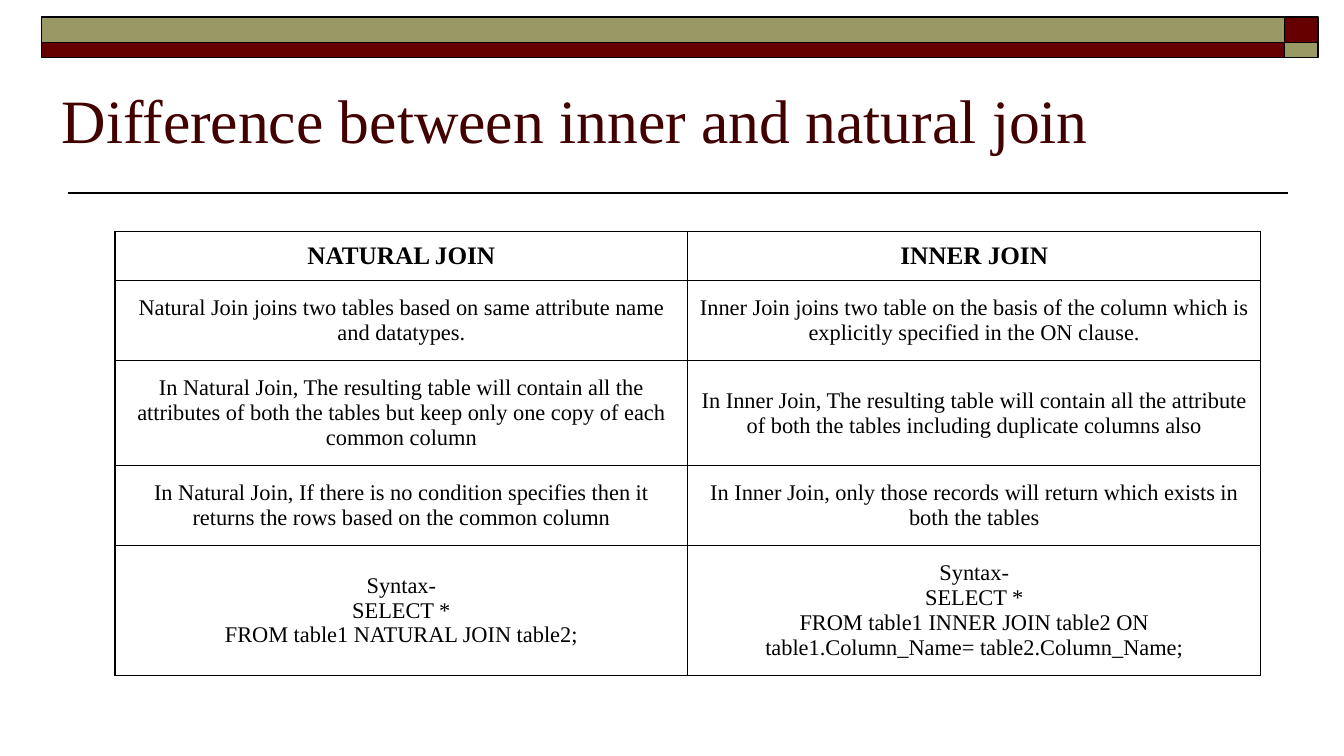
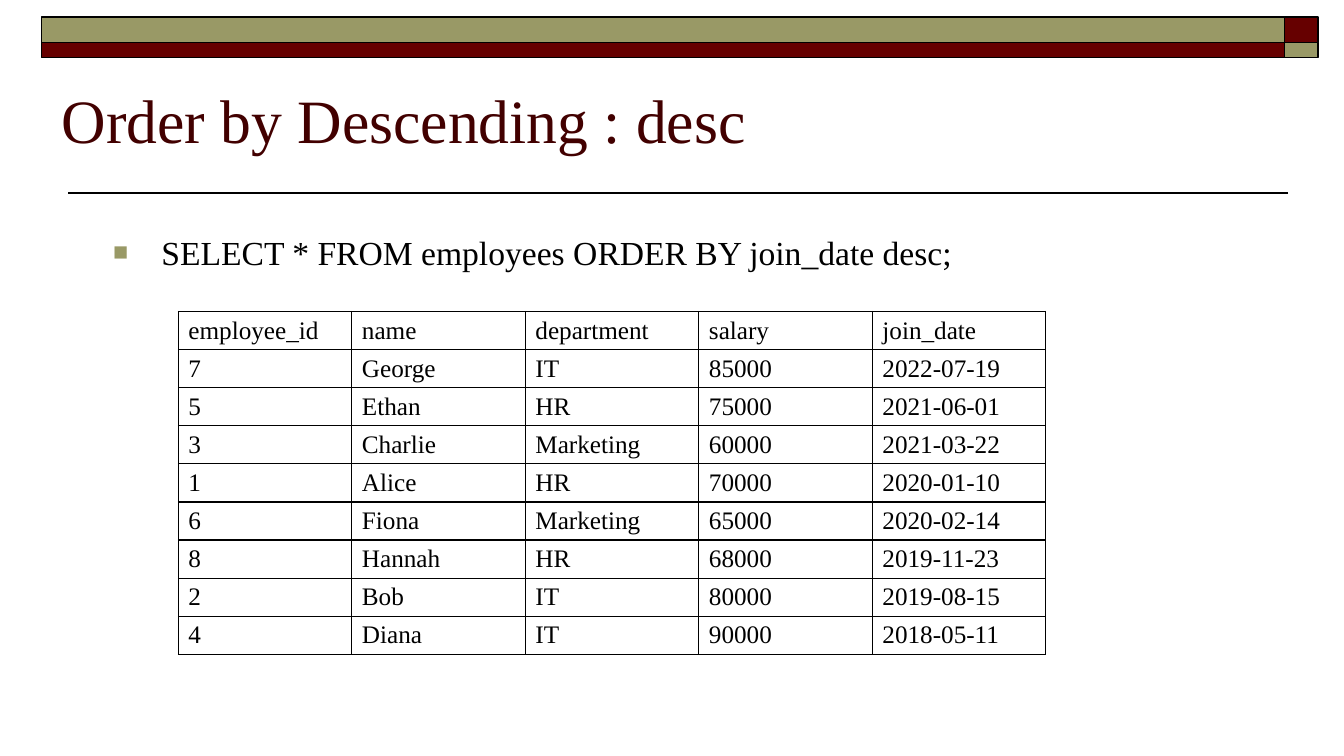
from dataclasses import dataclass

from lxml.etree import SubElement
from pptx import Presentation
from pptx.dml.color import RGBColor
from pptx.enum.shapes import MSO_CONNECTOR, MSO_SHAPE
from pptx.enum.text import MSO_ANCHOR, MSO_AUTO_SIZE, PP_ALIGN
from pptx.oxml import parse_xml
from pptx.oxml.ns import nsdecls, qn
from pptx.util import Inches, Pt

SLIDE_W, SLIDE_H = Inches(13.33), Inches(7.5)
FONT = "Times New Roman"
OLIVE, MAROON, TITLE_COLOR = "999966", "660000", "420000"
BLACK, WHITE = "000000", "FFFFFF"
TITLE_ONLY, TITLE_AND_CONTENT = 5, 1
MASTER_ID_START = 100


@dataclass(frozen=True)
class Box:
    """A rectangle in percent of the slide's width and height."""
    left: float
    top: float
    width: float
    height: float

    def emu(self) -> tuple[int, int, int, int]:
        return across(self.left), down(self.top), across(self.width), down(self.height)


@dataclass(frozen=True)
class TableStyle:
    left: float
    top: float
    width: float
    row_heights: list[float]
    header_size: int
    body_size: int
    header_bold: bool
    align: PP_ALIGN
    header_anchor: MSO_ANCHOR
    header_margin: float  # inches above and below the text
    body_margin: float


@dataclass(frozen=True)
class Band:
    box: Box
    color: str


BAND_LEFT, BAND_TOP = 3.08, 2.27
BAND_W, END_W = 92.5, 2.5
UPPER_H, LOWER_H = 3.33, 2
END_LEFT, LOWER_TOP = BAND_LEFT + BAND_W, BAND_TOP + UPPER_H
BANDS = [
    Band(Box(END_LEFT, BAND_TOP, END_W, UPPER_H), MAROON),
    Band(Box(BAND_LEFT, BAND_TOP, BAND_W, UPPER_H), OLIVE),
    Band(Box(BAND_LEFT, LOWER_TOP, BAND_W, LOWER_H), MAROON),
    Band(Box(END_LEFT, LOWER_TOP, END_W, LOWER_H), OLIVE),
]
RULE_LEFT, RULE_RIGHT, RULE_TOP = 5.03, 95.85, 25.55
TITLE_BOX = Box(3.83, 4.67, 90, 16.67)
BODY_BOX = Box(3.83, 30, 90, 60.93)

JOIN_ROWS = [
    ("NATURAL JOIN", "INNER JOIN"),
    ("Natural Join joins two tables based on same attribute name and datatypes.",
     "Inner Join joins two table on the basis of the column which is explicitly "
     "specified in the ON clause."),
    ("In Natural Join, The resulting table will contain all the attributes of both "
     "the tables but keep only one copy of each common column",
     "In Inner Join, The resulting table will contain all the attribute of both "
     "the tables including duplicate columns also"),
    ("In Natural Join, If there is no condition specifies then it returns the rows "
     "based on the common column",
     "In Inner Join, only those records will return which exists in both the tables"),
    ("Syntax-\vSELECT *\vFROM table1 NATURAL JOIN table2;",
     "Syntax-\vSELECT *\vFROM table1 INNER JOIN table2 ON "
     "table1.Column_Name= table2.Column_Name;"),
]
EMPLOYEE_ROWS = [
    ("employee_id", "name", "department", "salary", "join_date"),
    ("7", "George", "IT", "85000", "2022-07-19"),
    ("5", "Ethan", "HR", "75000", "2021-06-01"),
    ("3", "Charlie", "Marketing", "60000", "2021-03-22"),
    ("1", "Alice", "HR", "70000", "2020-01-10"),
    ("6", "Fiona", "Marketing", "65000", "2020-02-14"),
    ("8", "Hannah", "HR", "68000", "2019-11-23"),
    ("2", "Bob", "IT", "80000", "2019-08-15"),
    ("4", "Diana", "IT", "90000", "2018-05-11"),
]
JOIN_STYLE = TableStyle(8.55, 30.6, 85.25, [6.5, 10.45, 13.9, 10.45, 17.1], 18, 16, True,
                        PP_ALIGN.CENTER, MSO_ANCHOR.MIDDLE, 0.1, 0.15)
EMPLOYEE_STYLE = TableStyle(13.27, 41.2, 64.55, [5.04] * len(EMPLOYEE_ROWS), 18, 18, False,
                            PP_ALIGN.LEFT, MSO_ANCHOR.BOTTOM, 0.05, 0.05)


def across(percent: float) -> int:
    return round(SLIDE_W * percent / 100)


def down(percent: float) -> int:
    return round(SLIDE_H * percent / 100)


def rgb(color: str) -> RGBColor:
    return RGBColor.from_string(color)


def format_runs(p, size: float, color: str = BLACK, bold: bool = False) -> None:
    for r in p.runs:
        r.font.name, r.font.size, r.font.bold = FONT, Pt(size), bold
        r.font.color.rgb = rgb(color)


def set_outline(line) -> None:
    line.color.rgb = rgb(BLACK)
    line.width = Pt(1)


def add_master_decoration(prs, s) -> None:
    """Draw the rule and bands on a slide, then move them to the master."""
    y = down(RULE_TOP)
    rule = s.shapes.add_connector(MSO_CONNECTOR.STRAIGHT, across(RULE_RIGHT), y,
                                  across(RULE_LEFT), y)
    set_outline(rule.line)
    SubElement(rule.element.spPr, qn("a:effectLst"))
    decoration = [rule]
    for band in BANDS:
        sp = s.shapes.add_shape(MSO_SHAPE.RECTANGLE, *band.box.emu())
        sp.shadow.inherit = False
        sp.fill.solid()
        sp.fill.fore_color.rgb = rgb(band.color)
        set_outline(sp.line)
        decoration.append(sp)
    tree = prs.slide_master.shapes.element
    for i, sp in enumerate(decoration):
        sp.element.xpath(".//p:cNvPr")[0].set("id", str(MASTER_ID_START + i))
        tree.insert(2 + i, sp.element)


def place_text(sp, box: Box, text: str, anchor: MSO_ANCHOR):
    """Fill and move a placeholder; return its paragraph."""
    sp.left, sp.top, sp.width, sp.height = box.emu()
    tf = sp.text_frame
    tf.text = text
    tf.auto_size = MSO_AUTO_SIZE.NONE
    tf.vertical_anchor = anchor
    p = tf.paragraphs[0]
    p.alignment = PP_ALIGN.LEFT
    return p


def add_titled_slide(prs, layout: int, title: str):
    s = prs.slides.add_slide(prs.slide_layouts[layout])
    p = place_text(s.shapes.title, TITLE_BOX, title, MSO_ANCHOR.BOTTOM)
    format_runs(p, 44, TITLE_COLOR)
    return s


def add_query(s, query: str) -> None:
    p = place_text(s.placeholders[1], BODY_BOX, query, MSO_ANCHOR.TOP)
    p.level = 1
    format_runs(p, 24)
    pPr = p._p.get_or_add_pPr()
    pPr.set("marL", str(Inches(0.99)))
    pPr.set("indent", str(Inches(-0.48)))
    color = SubElement(pPr, qn("a:buClr"))
    SubElement(color, qn("a:srgbClr"), val=OLIVE)
    SubElement(pPr, qn("a:buSzPct"), val="75000")
    SubElement(pPr, qn("a:buFont"), typeface=FONT)
    SubElement(pPr, qn("a:buChar"), char="■")


def add_borders(cell) -> None:
    tcPr = cell._tc.get_or_add_tcPr()
    for i, side in enumerate(("lnL", "lnR", "lnT", "lnB")):
        tcPr.insert(i, parse_xml(
            f'<a:{side} {nsdecls("a")} w="{Pt(1)}"><a:solidFill>'
            f'<a:srgbClr val="{BLACK}"/></a:solidFill></a:{side}>'))


def fill_cell(cell, text: str, style: TableStyle, header: bool) -> None:
    cell.text_frame.text = text
    cell.vertical_anchor = style.header_anchor if header else MSO_ANCHOR.MIDDLE
    margin = Inches(style.header_margin if header else style.body_margin)
    cell.margin_top = cell.margin_bottom = margin
    cell.margin_left = cell.margin_right = Inches(0.1)
    p = cell.text_frame.paragraphs[0]
    p.alignment = style.align
    size = style.header_size if header else style.body_size
    format_runs(p, size, bold=header and style.header_bold)
    cell.fill.solid()
    cell.fill.fore_color.rgb = rgb(WHITE)
    add_borders(cell)


def add_grid(s, rows: list[tuple[str, ...]], style: TableStyle) -> None:
    box = Box(style.left, style.top, style.width, sum(style.row_heights))
    table = s.shapes.add_table(len(rows), len(rows[0]), *box.emu()).table
    table.first_row = table.horz_banding = False
    for column in table.columns:
        column.width = across(style.width / len(rows[0]))
    for i, (texts, height) in enumerate(zip(rows, style.row_heights)):
        table.rows[i].height = down(height)
        for j, text in enumerate(texts):
            fill_cell(table.cell(i, j), text, style, header=i == 0)


def main() -> None:
    prs = Presentation()
    prs.slide_width, prs.slide_height = SLIDE_W, SLIDE_H

    s = add_titled_slide(prs, TITLE_ONLY, "Difference between inner and natural join")
    add_master_decoration(prs, s)
    add_grid(s, JOIN_ROWS, JOIN_STYLE)

    s = add_titled_slide(prs, TITLE_AND_CONTENT, "Order by Descending : desc")
    add_query(s, "SELECT * FROM employees ORDER BY join_date desc;")
    add_grid(s, EMPLOYEE_ROWS, EMPLOYEE_STYLE)

    prs.save("out.pptx")


if __name__ == "__main__":
    main()
